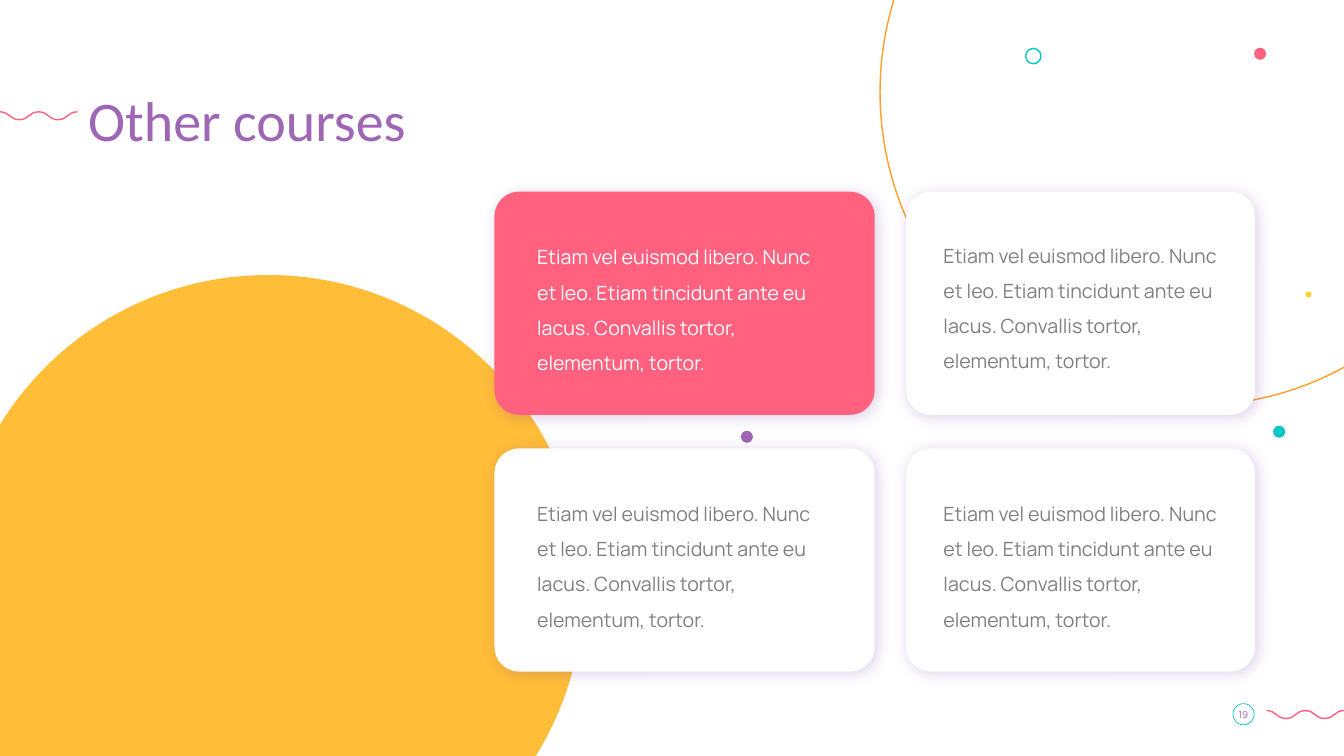
from math import cos, sin, tan, radians
from lxml import etree
from pptx import Presentation
from pptx.dml.color import RGBColor
from pptx.enum.shapes import MSO_SHAPE as Shape
from pptx.enum.text import MSO_ANCHOR as Anchor, MSO_AUTO_SIZE as AutoSize, PP_ALIGN as Align
from pptx.oxml.ns import qn
from pptx.util import Pt

PINK, TEAL, PURPLE, WHITE, GREY = "FF617F", "07C6C7", "9E66B5", "FFFFFF", "808080"
WIDTH, HEIGHT = 960, 540

TITLE = "Other courses"
PAGE_NUMBER = "19"
COURSE = ("Etiam vel euismod libero. Nunc et leo. Etiam tincidunt ante eu lacus. "
          "Convallis tortor, elementum, tortor.")
CARD_HEIGHT = 159.4
COLUMNS = [(353.2, 271.6, 383.6), (647.3, 249.2, 673.9)]
ROWS = [136.9, 320.3]
CARDS = [
    (0, 0, PINK, WHITE, 163.2),
    (0, 1, WHITE, GREY, 346.5),
    (1, 1, WHITE, GREY, 346.5),
    (1, 0, WHITE, GREY, 162),
]
DOTS = [
    (909.4, 304.1, 8.6, TEAL),
    (932.5, 208.2, 4.3, "FFD12A"),
    (895.8, 34.1, 8.6, PINK),
    (529.2, 307.7, 8.6, PURPLE),
]
RINGS = [(732.6, 34.6, 11, 1), (880.7, 502.6, 15.1, 0.5)]
WAVES = [(904.8, 507.6), (0, 79.9)]
WAVE_STEP, WAVE_HEIGHT = 13.8, 5.6


def colour(value):
    return RGBColor.from_string(value)


def paint(shape, fill=None, line=None, weight=1):
    shape.shadow.inherit = False
    if fill:
        shape.fill.solid()
        shape.fill.fore_color.rgb = colour(fill)
    else:
        shape.fill.background()
    if line:
        shape.line.color.rgb = colour(line)
        shape.line.width = Pt(weight)
    else:
        shape.line.fill.background()


def add_preset(page, kind, left, top, width, height, **style):
    shape = page.shapes.add_shape(kind, Pt(left), Pt(top), Pt(width), Pt(height))
    paint(shape, **style)
    return shape


def add_outline(page, curves, corners=(), **style):
    points = [(Pt(x), Pt(y)) for x, y in [*curves, *corners]]
    builder = page.shapes.build_freeform(*points[0])
    builder.add_line_segments(points[1:], close=bool(corners))
    shape = builder.convert_to_shape()
    segments = list(shape._element.iter(qn("a:lnTo")))[:len(curves) - 1]
    for i in range(0, len(segments), 3):
        bend = etree.Element(qn("a:cubicBezTo"))
        segments[i].addprevious(bend)
        for segment in segments[i:i + 3]:
            bend.append(segment[0])
            segment.getparent().remove(segment)
    paint(shape, **style)


def arc(x, y, radius, *angles):
    def at(angle, reach=0):
        a = radians(angle)
        return x + radius * (cos(a) - reach * sin(a)), y + radius * (sin(a) + reach * cos(a))

    points = [at(angles[0])]
    for start, end in zip(angles, angles[1:]):
        reach = 4 / 3 * tan(radians(end - start) / 4)
        points += [at(start, reach), at(end, -reach), at(end)]
    return points


def wave(left, top):
    points = [(left, top)]
    for i in range(4):
        x = left + i * WAVE_STEP
        before, after = top + i % 2 * WAVE_HEIGHT, top + (i + 1) % 2 * WAVE_HEIGHT
        points += [(x + WAVE_STEP / 2, before), (x + WAVE_STEP / 2, after),
                   (x + WAVE_STEP, after)]
    return points


def add_glow(shape):
    effects = shape._element.spPr.find(qn("a:effectLst"))
    shadow = etree.SubElement(effects, qn("a:outerShdw"), blurRad=str(Pt(11)),
                              dist=str(Pt(2)), dir="2700000", algn="tl", rotWithShape="0")
    tint = etree.SubElement(shadow, qn("a:srgbClr"), val="7030A0")
    etree.SubElement(tint, qn("a:alpha"), val="22000")


def write(box, text, size, font, ink, spacing=1.0, align=Align.LEFT,
          anchor=Anchor.TOP, right=7.2):
    frame = box.text_frame
    frame.word_wrap = True
    frame.auto_size = AutoSize.SHAPE_TO_FIT_TEXT
    frame.vertical_anchor = anchor
    frame.margin_left, frame.margin_right = Pt(0), Pt(right)
    frame.margin_top = frame.margin_bottom = Pt(3.6)
    para = frame.paragraphs[0]
    para.text = text
    para.alignment = align
    para.line_spacing = spacing
    para.font.size = Pt(size)
    para.font.name = font
    para.font.color.rgb = colour(ink)


def add_text(page, left, top, width, height, *words, **style):
    box = page.shapes.add_textbox(Pt(left), Pt(top), Pt(width), Pt(height))
    write(box, *words, **style)


def main():
    deck = Presentation()
    deck.slide_width, deck.slide_height = Pt(WIDTH), Pt(HEIGHT)
    page = deck.slides.add_slide(deck.slide_layouts[5])

    title = page.shapes.title
    title.left, title.top, title.width, title.height = Pt(63), Pt(62.6), Pt(828), Pt(51.1)
    write(title, TITLE, 40, "Calibri", PURPLE, spacing=0.9, anchor=Anchor.MIDDLE)

    for left, top in WAVES:
        add_outline(page, wave(left, top), line=PINK)
    add_outline(page, arc(191.5, 421.4, 225, 211.7, 270, 360, 391.8),
                [(0, HEIGHT)], fill="FFBD38")
    add_outline(page, arc(852.6, 65.8, 224, 61.3, 90, 180, 197.1), line="FF9F2A")

    for left, top, size, fill in DOTS:
        add_preset(page, Shape.OVAL, left, top, size, size, fill=fill)
    for left, top, size, weight in RINGS:
        add_preset(page, Shape.OVAL, left, top, size, size, line=TEAL, weight=weight)
    add_text(page, 874.8, 502.6, 26.6, 15.8, PAGE_NUMBER, 7, "Manrope", PURPLE,
             align=Align.CENTER, anchor=Anchor.BOTTOM, right=0)

    for column, row, fill, ink, text_top in CARDS:
        left, width, text_left = COLUMNS[column]
        card = add_preset(page, Shape.ROUNDED_RECTANGLE, left, ROWS[row],
                          width, CARD_HEIGHT, fill=fill)
        card.adjustments[0] = 0.111
        add_glow(card)
        add_text(page, text_left, text_top, 212.4, 107.3, COURSE, 14, "Manrope", ink,
                 spacing=1.5)

    deck.save("out.pptx")


if __name__ == "__main__":
    main()
